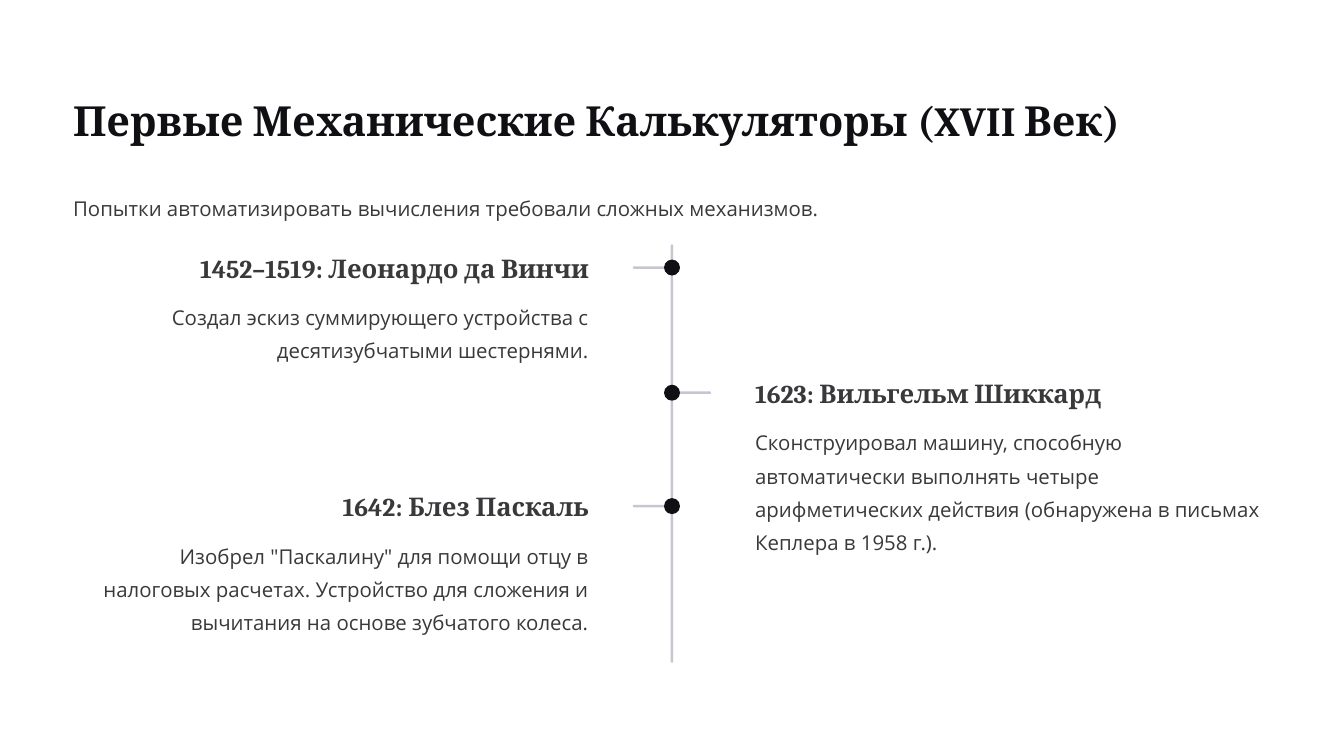
import pptx
import pptx.dml.color
import pptx.enum.shapes
import pptx.enum.text
import pptx.util

Pt = pptx.util.Pt
ALIGN = pptx.enum.text.PP_ALIGN

INK = "101014"
BODY = "39393C"
RAIL = "C6C6D2"

MARGIN = 62.64
CONTENT_WIDTH = 1026.72
AXIS = 576
COLUMN_WIDTH = 442.08
COLUMN_GAP = 71.28
RAIL_WIDTH = 2.16
BRANCH_LENGTH = 36
BRANCH_OVERLAP = 2.5
DOT_SIZE = 13.68

EVENTS = [
    ("left", 215.28, 56.88, "1452–1519: Леонардо да Винчи",
     "Создал эскиз суммирующего устройства с десятизубчатыми шестернями."),
    ("right", 322.56, 114.48, "1623: Вильгельм Шиккард",
     "Сконструировал машину, способную автоматически выполнять четыре "
     "арифметических действия (обнаружена в письмах Кеплера в 1958 г.)."),
    ("left", 419.76, 85.68, "1642: Блез Паскаль",
     'Изобрел "Паскалину" для помощи отцу в налоговых расчетах. '
     "Устройство для сложения и вычитания на основе зубчатого колеса."),
]


def rgb(value):
    return pptx.dml.color.RGBColor.from_string(value)


def add_text(slide, box, text, font, size, spacing, color,
             bold=False, align=ALIGN.LEFT):
    frame = slide.shapes.add_textbox(*map(Pt, box)).text_frame
    frame.margin_left = frame.margin_right = 0
    frame.margin_top = frame.margin_bottom = 0
    frame.word_wrap = True
    frame.text = text
    paragraph = frame.paragraphs[0]
    paragraph.alignment = align
    paragraph.line_spacing = Pt(spacing)
    run_font = paragraph.runs[0].font
    run_font.name = font
    run_font.size = Pt(size)
    run_font.bold = bold
    run_font.color.rgb = rgb(color)


def add_body(slide, box, text, align=ALIGN.LEFT):
    add_text(slide, box, text, "Open Sans", 17.5, 28.5, BODY, align=align)


def add_pill(slide, left, top, width, height, color):
    pill = slide.shapes.add_shape(
        pptx.enum.shapes.MSO_SHAPE.ROUNDED_RECTANGLE,
        Pt(left), Pt(top), Pt(width), Pt(height))
    pill.adjustments[0] = 0.5
    pill.shadow.inherit = False
    pill.fill.solid()
    pill.fill.fore_color.rgb = rgb(color)
    pill.line.fill.background()


def add_event(slide, side, top, body_height, heading, body):
    if side == "left":
        align = ALIGN.RIGHT
        column_left = MARGIN
        branch_left = AXIS + BRANCH_OVERLAP - BRANCH_LENGTH
    else:
        align = ALIGN.LEFT
        column_left = AXIS + COLUMN_GAP
        branch_left = AXIS - BRANCH_OVERLAP
    add_pill(slide, branch_left, top + 12.96, BRANCH_LENGTH, RAIL_WIDTH, RAIL)
    add_pill(slide, AXIS - DOT_SIZE / 2, top + 7.2, DOT_SIZE, DOT_SIZE, INK)
    add_text(slide, (column_left, top, COLUMN_WIDTH, 28.08), heading,
             "Cambria", 22, 27.5, BODY, bold=True, align=align)
    add_body(slide, (column_left, top + 38.88, COLUMN_WIDTH, body_height),
             body, align=align)


def main():
    deck = pptx.Presentation()
    deck.slide_width = Pt(1152)
    deck.slide_height = Pt(648)
    slide = deck.slides.add_slide(deck.slide_layouts[6])
    slide.background.fill.solid()
    slide.background.fill.fore_color.rgb = rgb("FFFFFF")

    add_text(slide, (MARGIN, 79.92, CONTENT_WIDTH, 44.64),
             "Первые Механические Калькуляторы (XVII Век)",
             "Cambria", 35.5, 44.5, INK, bold=True)
    add_body(slide, (MARGIN, 160.56, CONTENT_WIDTH, 28.8),
             "Попытки автоматизировать вычисления требовали сложных механизмов.")
    add_pill(slide, AXIS - RAIL_WIDTH / 2, 209.52, RAIL_WIDTH, 358.56, RAIL)
    for event in EVENTS:
        add_event(slide, *event)

    deck.save("out.pptx")


if __name__ == "__main__":
    main()
